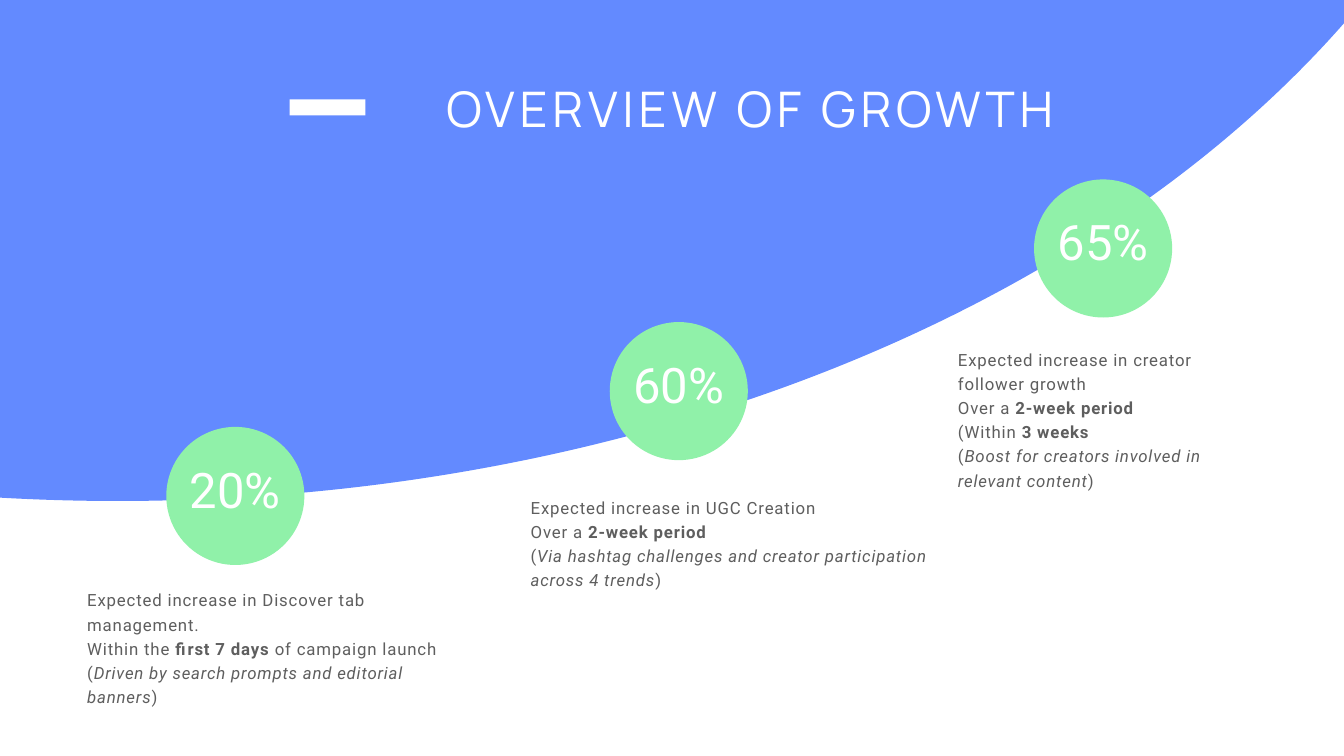
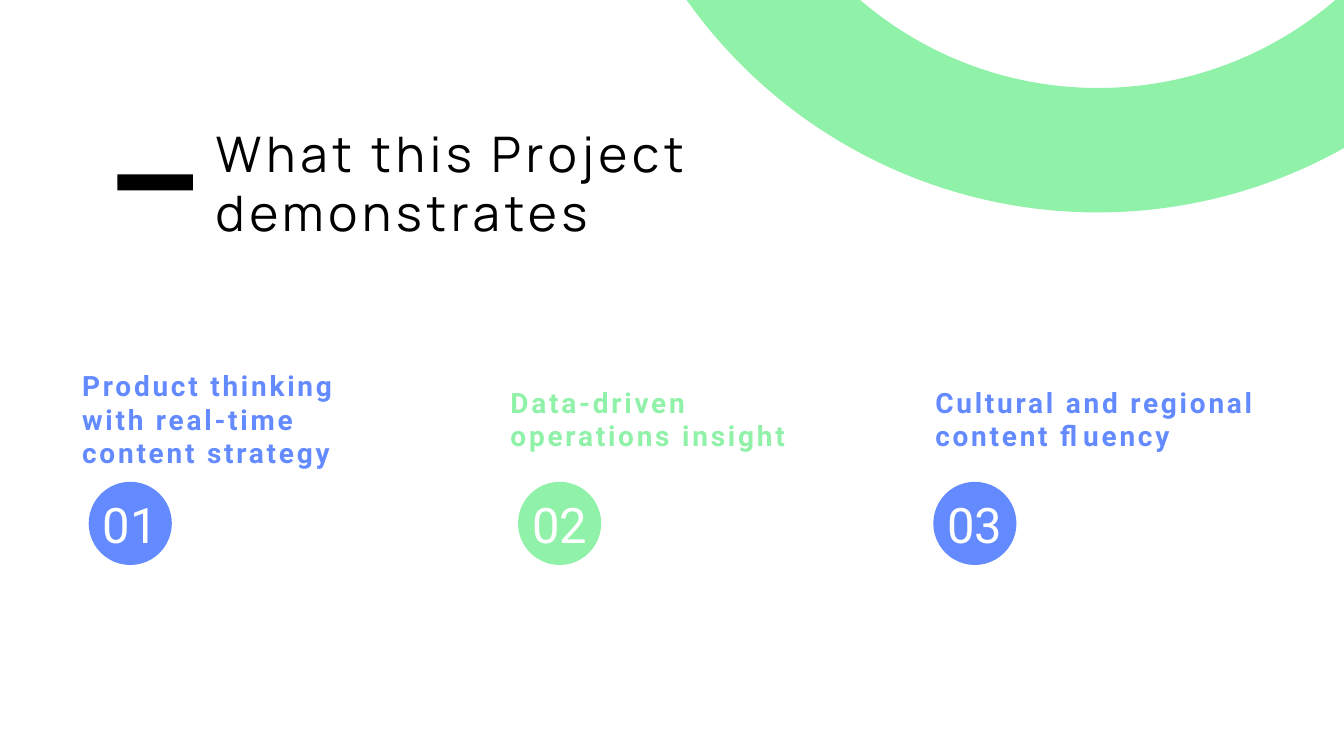
"""Builds two slides: expected campaign growth and what the project demonstrates."""
from pptx import Presentation
from pptx.dml.color import RGBColor
from pptx.enum.shapes import MSO_SHAPE
from pptx.enum.text import MSO_ANCHOR, MSO_AUTO_SIZE, PP_ALIGN
from pptx.util import Inches, Pt

BLUE = RGBColor(0x63, 0x8A, 0xFF)
GREEN = RGBColor(0x90, 0xF1, 0xA9)
GREY = RGBColor(0x5E, 0x5E, 0x5E)
WHITE = RGBColor(0xFF, 0xFF, 0xFF)
BLACK = RGBColor(0x00, 0x00, 0x00)
TITLE_FONT, BODY_FONT = "Manrope", "Roboto"
DISPLAY_SIZE = 70

PLAIN, BOLD, ITALIC = "plain", "bold", "italic"
BREAK = ("\n", PLAIN)

GROWTH_TITLE = "OVERVIEW OF GROWTH"
GROWTH_METRICS = [
    {
        "value": "20%",
        "circle": (3.3, 8.47),
        "details_box": (1.67, 11.53, 7.78, 2.6),
        "details": [
            [("Expected increase in Discover tab management.", PLAIN)],
            [("Within the ", PLAIN), ("first 7 days", BOLD),
             (" of campaign launch", PLAIN), BREAK, ("(", PLAIN),
             ("Driven by search prompts and editorial banners", ITALIC), (")", PLAIN)],
        ],
    },
    {
        "value": "65%",
        "circle": (20.52, 3.56),
        "details_box": (18.95, 6.8, 6, 2.98),
        "details": [
            [("Expected increase in creator follower growth", PLAIN)],
            [("Over a ", PLAIN), ("2-week period", BOLD), BREAK,
             ("(Within ", PLAIN), ("3 weeks", BOLD), BREAK, ("(", PLAIN),
             ("Boost for creators involved in relevant content", ITALIC), (")", PLAIN)],
        ],
    },
    {
        "value": "60%",
        "circle": (12.1, 6.39),
        "details_box": (10.47, 9.74, 8.42, 2.01),
        "details": [
            [("Expected increase in UGC Creation", PLAIN)],
            [("Over a ", PLAIN), ("2-week period", BOLD), BREAK, ("(", PLAIN),
             ("Via hashtag challenges and creator participation across 4 trends", ITALIC),
             (")", PLAIN)],
        ],
    },
]

PROJECT_TITLE = "What this Project demonstrates"
PROJECT_RINGS = [(12.48, -15.08, 18.6), (13.85, -13.43, 15.87)]
PROJECT_POINTS = [
    ("Product thinking with real-time content strategy", 3, BLUE, 1.57, 1.76),
    ("Data-driven operations insight", 2, GREEN, 10.07, 10.28),
    ("Cultural and regional content fluency", 2, BLUE, 18.5, 18.52),
]


def add_solid(slide, preset, box, color):
    solid = slide.shapes.add_shape(preset, *map(Inches, box))
    solid.shadow.inherit = False
    solid.fill.solid()
    solid.fill.fore_color.rgb = color
    solid.line.fill.background()


def add_ring(slide, left, top, diameter):
    ring = slide.shapes.add_shape(
        MSO_SHAPE.OVAL, *map(Inches, (left, top, diameter, diameter)))
    ring.shadow.inherit = False
    ring.fill.background()
    ring.line.color.rgb = GREEN
    ring.line.width = Pt(100)


def add_text(slide, box, paragraphs, size, color, font=BODY_FONT, bold=None,
             tracking=0, align=PP_ALIGN.LEFT, line_spacing=None, inset=0.06):
    frame = slide.shapes.add_textbox(*map(Inches, box)).text_frame
    frame.word_wrap = True
    frame.auto_size = MSO_AUTO_SIZE.SHAPE_TO_FIT_TEXT
    frame.vertical_anchor = MSO_ANCHOR.MIDDLE
    frame.margin_left = frame.margin_right = Inches(inset)
    frame.margin_top = frame.margin_bottom = Inches(inset)
    for index, pieces in enumerate(paragraphs):
        paragraph = frame.add_paragraph() if index else frame.paragraphs[0]
        paragraph.alignment = align
        if line_spacing:
            paragraph.line_spacing = line_spacing
        paragraph.font.size = Pt(size)
        paragraph.font.name = font
        paragraph.font.color.rgb = color
        paragraph.font.bold = bold
        if tracking:
            defaults = paragraph._p.pPr.find("{*}defRPr")
            defaults.set("spc", str(round(tracking * 100)))
        for piece in pieces:
            if piece == BREAK:
                paragraph.add_line_break()
                continue
            text, style = piece
            run = paragraph.add_run()
            run.text = text
            if style == BOLD:
                run.font.bold = True
            elif style == ITALIC:
                run.font.italic = True


def add_title(slide, title, title_box, dash_at, color, align=PP_ALIGN.LEFT):
    add_text(slide, title_box, [[(title, PLAIN)]], DISPLAY_SIZE, color,
             font=TITLE_FONT, tracking=7, align=align, inset=0)
    add_solid(slide, MSO_SHAPE.RECTANGLE, (*dash_at, 1.5, 0.32), color)


def add_badge(slide, label, left, top, diameter, color, label_height, line_spacing=None):
    label_width = 2.49
    add_solid(slide, MSO_SHAPE.OVAL, (left, top, diameter, diameter), color)
    label_box = (left + (diameter - label_width) / 2,
                 top + (diameter - label_height) / 2, label_width, label_height)
    add_text(slide, label_box, [[(label, PLAIN)]], DISPLAY_SIZE, WHITE,
             align=PP_ALIGN.CENTER, line_spacing=line_spacing)


def build_growth(slide):
    add_solid(slide, MSO_SHAPE.OVAL, (-26.16, -29.58, 56.99, 39.52), BLUE)
    add_title(slide, GROWTH_TITLE, (7.94, 1.45, 12.98, 1.37), (5.75, 1.97),
              WHITE, PP_ALIGN.RIGHT)
    for metric in GROWTH_METRICS:
        add_badge(slide, metric["value"], *metric["circle"], 2.74, GREEN, 1.25, 0.7)
        add_text(slide, metric["details_box"], metric["details"], 24, GREY,
                 tracking=1.2, line_spacing=1.2)


def build_project(slide):
    for ring in PROJECT_RINGS:
        add_ring(slide, *ring)
    middle, line_height = 8.31, 0.67
    for number, (point, lines, color, left, circle_left) in enumerate(PROJECT_POINTS, 1):
        height = lines * line_height + 0.12
        add_text(slide, (left, middle - height / 2, 6.53, height), [[(point, PLAIN)]],
                 40, color, bold=True, tracking=4)
        add_badge(slide, f"{number:02d}", circle_left, 9.56, 1.65, color, 1.29)
    add_title(slide, PROJECT_TITLE, (4.28, 1.86, 9.56, 3.53), (2.33, 3.46), BLACK)


def main():
    deck = Presentation()
    deck.slide_width, deck.slide_height = Inches(26.67), Inches(15)
    for build in (build_growth, build_project):
        build(deck.slides.add_slide(deck.slide_layouts[6]))
    deck.save("out.pptx")


if __name__ == "__main__":
    main()
